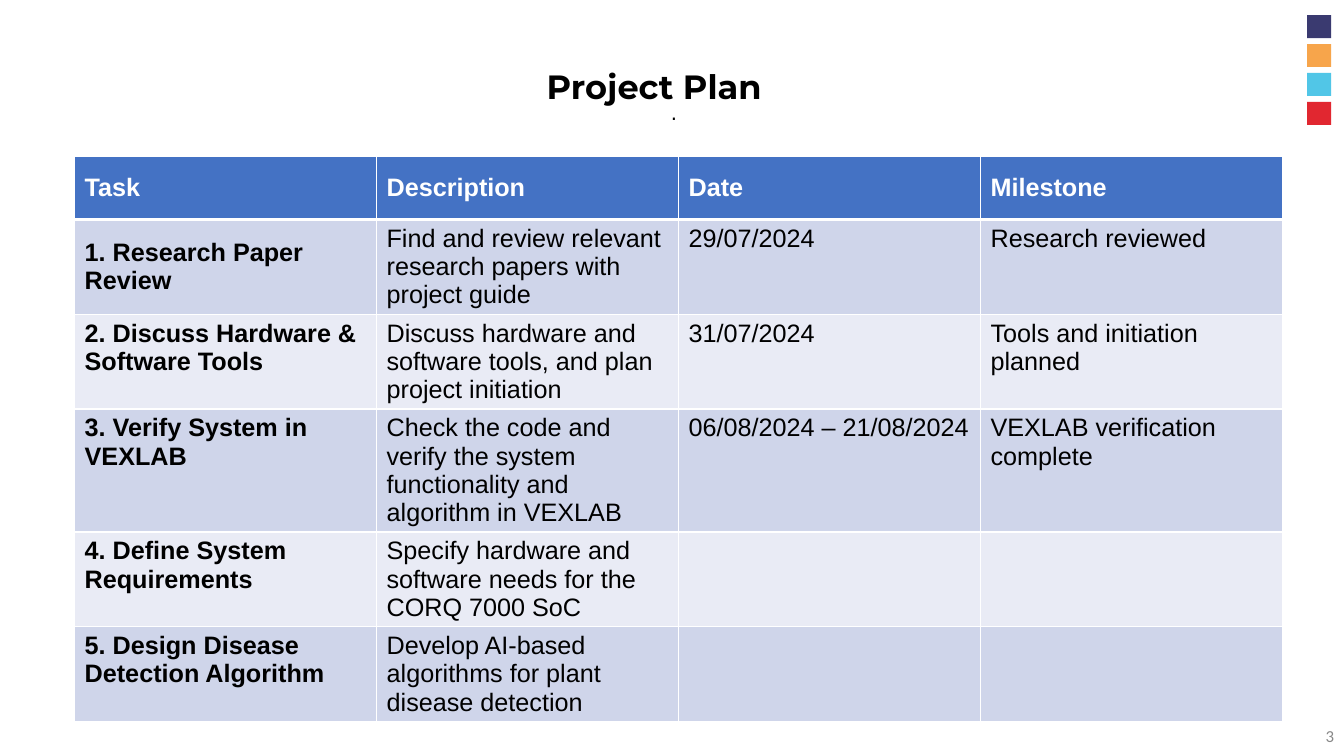
from lxml.etree import SubElement
from pptx import Presentation
from pptx.dml.color import RGBColor
from pptx.enum.shapes import MSO_SHAPE as Shape
from pptx.enum.text import MSO_ANCHOR as Anchor, MSO_AUTO_SIZE as AutoSize, PP_ALIGN as Align
from pptx.oxml.ns import qn
from pptx.util import Cm, Pt

SWATCHES = ["3A3A70", "F7A54B", "51C6E7", "E12730"]
HEADINGS = ["Task", "Description", "Date", "Milestone"]
TASKS = [
    ["1. Research Paper Review",
     "Find and review relevant research papers with project guide",
     "29/07/2024", "Research reviewed"],
    ["2. Discuss Hardware & Software Tools",
     "Discuss hardware and software tools, and plan project initiation",
     "31/07/2024", "Tools and initiation planned"],
    ["3. Verify System in VEXLAB",
     "Check the code and verify the system functionality and algorithm in VEXLAB",
     "06/08/2024 – 21/08/2024", "VEXLAB verification complete"],
    ["4. Define System Requirements",
     "Specify hardware and software needs for the CORQ 7000 SoC", "", ""],
    ["5. Design Disease Detection Algorithm",
     "Develop AI-based algorithms for plant disease detection", "", ""],
]


def color(value):
    return RGBColor.from_string(value)


class PlanSlide:
    header_fill = "4472C4"
    band_fills = ["CFD5EA", "E9EBF5"]
    black, white, gray = "000000", "FFFFFF", "888888"

    def __init__(self, deck):
        self.slide = deck.slides.add_slide(deck.slide_layouts[1])

    def style(self, paragraph, size, font, ink, bold=False, align=Align.LEFT):
        paragraph.alignment = align
        for run in paragraph.runs:
            run.font.size, run.font.name, run.font.bold = Pt(size), font, bold
            run.font.color.rgb = color(ink)

    def place(self, holder, box, text, anchor=Anchor.TOP):
        holder.left, holder.top, holder.width, holder.height = map(Cm, box)
        frame = holder.text_frame
        frame.text = text
        frame.word_wrap = True
        frame.auto_size = AutoSize.NONE
        frame.vertical_anchor = anchor
        return frame.paragraphs[0]

    def title(self, text, box):
        heading = self.place(self.slide.shapes.title, box, text)
        self.style(heading, 24, "Montserrat", self.black, True, Align.CENTER)

    def body(self, text, box):
        line = self.place(self.slide.placeholders[1], box, text)
        properties = line._p.get_or_add_pPr()
        properties.set("marL", "0")
        properties.set("indent", "0")
        SubElement(properties, qn("a:buNone"))
        line.space_before = Pt(0)
        self.style(line, 14, "DejaVu Sans", self.black, align=Align.CENTER)

    def page_number(self, text, box):
        corner = self.slide.shapes.add_textbox(*map(Cm, box))
        number = self.place(corner, box, text, Anchor.MIDDLE)
        self.style(number, 12, "Calibri", self.gray, align=Align.RIGHT)

    def swatches(self, fills, left, top, width, height, step):
        group = self.slide.shapes.add_group_shape()
        for index, fill in enumerate(fills):
            swatch = group.shapes.add_shape(
                Shape.RECTANGLE, Cm(left), Cm(top + index * step), Cm(width), Cm(height))
            swatch.shadow.inherit = False
            swatch.fill.solid()
            swatch.fill.fore_color.rgb = color(fill)
            swatch.line.fill.background()

    def border(self, cell, side, points):
        edge = SubElement(cell._tc.get_or_add_tcPr(), qn(f"a:ln{side}"), w=str(Pt(points)))
        SubElement(SubElement(edge, qn("a:solidFill")), qn("a:srgbClr"), val=self.white)

    def table(self, rows, left, top, column_width, header_height, row_height):
        columns = len(rows[0])
        height = header_height + row_height * (len(rows) - 1)
        plan = self.slide.shapes.add_table(
            len(rows), columns, Cm(left), Cm(top), Cm(column_width * columns), Cm(height)).table
        for column in plan.columns:
            column.width = Cm(column_width)
        for r, texts in enumerate(rows):
            plan.rows[r].height = Cm(row_height if r else header_height)
            for c, text in enumerate(texts):
                self.cell(plan.cell(r, c), text, r, c)

    def cell(self, cell, text, r, c):
        is_header = r == 0
        for side in "LRTB":
            under_header = (r, side) in [(0, "B"), (1, "T")]
            self.border(cell, side, 3 if under_header else 1)
        cell.fill.solid()
        cell.fill.fore_color.rgb = color(self.header_fill if is_header else self.band_fills[(r - 1) % 2])
        centred = is_header or (r, c) == (1, 0)
        cell.vertical_anchor = Anchor.MIDDLE if centred else Anchor.TOP
        cell.text_frame.text = text
        self.style(cell.text_frame.paragraphs[0], 18, "Arial",
                   self.white if is_header else self.black, is_header or c == 0)


def main():
    deck = Presentation()
    deck.slide_width, deck.slide_height = Cm(33.87), Cm(19.05)
    plan = PlanSlide(deck)
    plan.swatches(SWATCHES, 32.94, 0.38, 0.61, 0.58, 0.73)
    plan.body(".", (1.25, 2.41, 31.47, 15.93))
    plan.page_number("3", (26.25, 18.03, 7.62, 1.02))
    plan.title("Project Plan", (1.88, 1.53, 29.21, 1.37))
    plan.table([HEADINGS] + TASKS, 1.88, 3.93, 7.61, 1.6, 2.16)
    deck.save("out.pptx")


if __name__ == "__main__":
    main()
